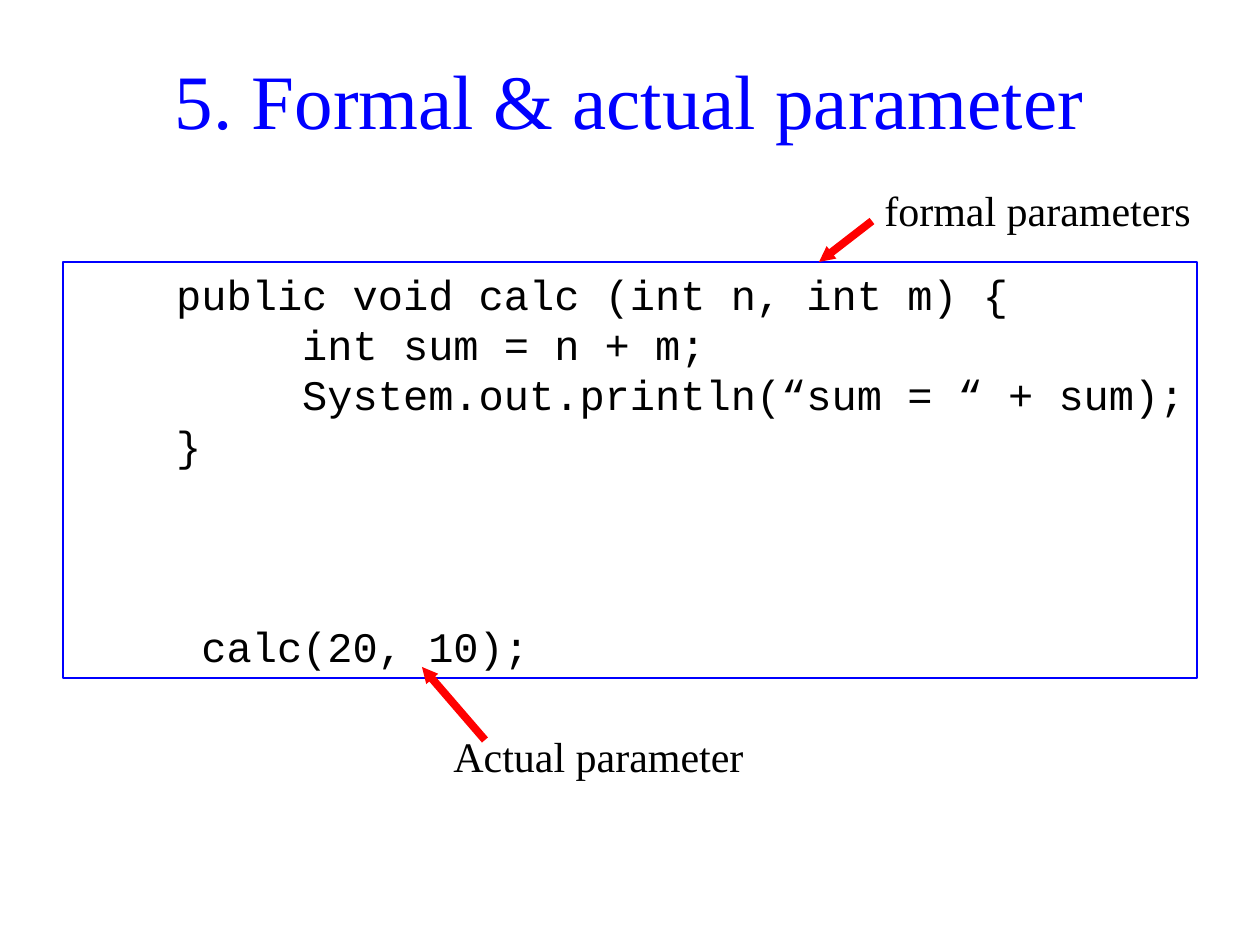
from dataclasses import dataclass

from lxml import etree
from pptx import Presentation
from pptx.dml.color import RGBColor
from pptx.enum.shapes import MSO_CONNECTOR, MSO_SHAPE
from pptx.enum.text import MSO_ANCHOR, MSO_AUTO_SIZE, PP_ALIGN
from pptx.oxml.ns import qn
from pptx.util import Emu, Pt

RECT, STRAIGHT = MSO_SHAPE.RECTANGLE, MSO_CONNECTOR.STRAIGHT
TOP, MIDDLE = MSO_ANCHOR.TOP, MSO_ANCHOR.MIDDLE
LEFT, CENTER = PP_ALIGN.LEFT, PP_ALIGN.CENTER
FIT, FIXED = MSO_AUTO_SIZE.SHAPE_TO_FIT_TEXT, MSO_AUTO_SIZE.NONE

PX = 914400 / 126
COLORS = {"blue": "0000FF", "red": "FF0000", "black": "000000", "white": "FFFFFF"}
SERIF, MONO = "Times New Roman", "Courier New"
LINE_PITCH = 28.8
CODE = [
    "    public void calc (int n, int m) {",
    "         int sum = n + m;",
    "         System.out.println(“sum = “ + sum);",
    "    }",
]
CALL = "     calc(20, 10);"


@dataclass
class Callout:
    text: str
    box: tuple[int, int, int, int]
    start: tuple[int, int]
    end: tuple[int, int]


# Boxes are a little wider than their text, so each label stays on one line
CALLOUTS = [
    Callout("Actual parameter", (441, 724, 325, 63), (485, 740), (422, 667)),
    Callout("formal parameters", (872, 178, 341, 63), (872, 221), (819, 262)),
]


def px(*values: int) -> list[Emu]:
    return [Emu(round(v * PX)) for v in values]


def rgb(name: str) -> RGBColor:
    return RGBColor.from_string(COLORS[name])


def set_attrs(obj, **values) -> None:
    for name, value in values.items():
        setattr(obj, name, value)


def write(p, text: str, font: str, size: int, color: str, align=LEFT) -> None:
    p.alignment = align
    r = p.add_run()
    r.text = text
    set_attrs(r.font, name=font, size=Pt(size))
    r.font.color.rgb = rgb(color)


def add_callout(s, callout: Callout) -> None:
    tf = s.shapes.add_textbox(*px(*callout.box)).text_frame
    set_attrs(tf, word_wrap=True, auto_size=FIXED)
    write(tf.paragraphs[0], callout.text, SERIF, 24, "black")

    arrow = s.shapes.add_connector(STRAIGHT, *px(*callout.start, *callout.end))
    arrow.line.color.rgb = rgb("red")
    arrow.line.width = Pt(4.5)
    ln = arrow.line._get_or_add_ln()
    etree.SubElement(ln, qn("a:tailEnd"), type="triangle", w="sm", len="sm")
    etree.SubElement(arrow._element.spPr, qn("a:effectLst"))


def add_code_box(s) -> None:
    sp = s.shapes.add_shape(RECT, *px(63, 262, 1134, 416))
    sp.shadow.inherit = False
    sp.fill.solid()
    sp.fill.fore_color.rgb = rgb("white")
    sp.line.color.rgb = rgb("blue")
    sp.line.width = Pt(1)
    tf = sp.text_frame
    set_attrs(tf, word_wrap=False, auto_size=FIT, vertical_anchor=TOP)
    for i, text in enumerate(CODE + [CALL]):
        p = tf.add_paragraph() if i else tf.paragraphs[0]
        p.line_spacing = Pt(LINE_PITCH)
        write(p, text, MONO, 24, "black")
    # The call stands three lines below the method
    p.space_before = Pt(3 * LINE_PITCH)


def main() -> None:
    prs = Presentation()
    prs.slide_width, prs.slide_height = px(1260, 945)
    s = prs.slides.add_slide(prs.slide_layouts[5])

    # Title
    title = s.shapes.title
    left, top, width, height = px(94, 0, 1071, 197)
    set_attrs(title, left=left, top=top, width=width, height=height)
    tf = title.text_frame
    set_attrs(tf, vertical_anchor=MIDDLE, auto_size=FIXED, word_wrap=True)
    write(tf.paragraphs[0], "5. Formal & actual parameter", SERIF, 44, "blue", CENTER)

    # Code with its callouts
    add_code_box(s)
    for callout in CALLOUTS:
        add_callout(s, callout)

    prs.save("out.pptx")


if __name__ == "__main__":
    main()
